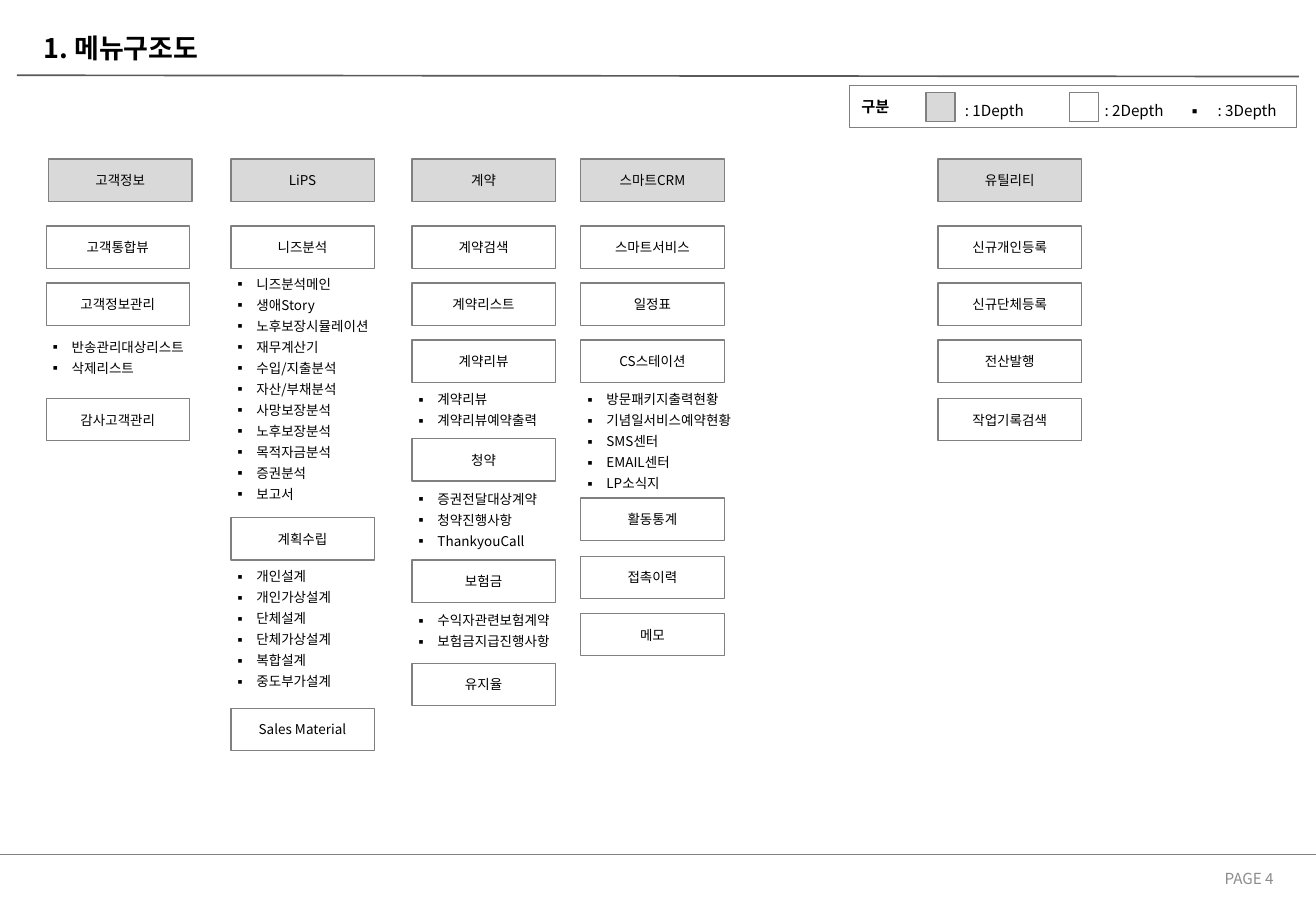
import pptx
import pptx.util
import pptx.dml.color
import pptx.enum.shapes
import pptx.enum.text
import pptx.oxml.ns
import lxml.etree

ALIGN = pptx.enum.text.PP_ALIGN
ANCHOR = pptx.enum.text.MSO_ANCHOR
AUTO_SIZE = pptx.enum.text.MSO_AUTO_SIZE

BOX_WIDTH, BOX_HEIGHT = 118, 35
HEADER_TOP = 131
ROWS = [186, 233, 280, 328]

COLUMNS = [
    ("고객정보", 40, 38, 134, [
        (ROWS[0], "고객통합뷰", 0, []),
        (ROWS[1], "고객정보관리", 273, ["반송관리대상리스트", "삭제리스트"]),
        (ROWS[3], "감사고객관리", 0, []),
    ]),
    ("LiPS", 190, 190, 134, [
        (ROWS[0], "니즈분석", 221, [
            "니즈분석메인", "생애Story", "노후보장시뮬레이션", "재무계산기",
            "수입/지출분석", "자산/부채분석", "사망보장분석", "노후보장분석",
            "목적자금분석", "증권분석", "보고서"]),
        (426, "계획수립", 462, [
            "개인설계", "개인가상설계", "단체설계", "단체가상설계",
            "복합설계", "중도부가설계"]),
        (583, "Sales Material", 0, []),
    ]),
    ("계약", 339, 339, 134, [
        (ROWS[0], "계약검색", 0, []),
        (ROWS[1], "계약리스트", 0, []),
        (ROWS[2], "계약리뷰", 316, ["계약리뷰", "계약리뷰예약출력"]),
        (361, "청약", 398, ["증권전달대상계약", "청약진행사항", "ThankyouCall"]),
        (461, "보험금", 498, ["수익자관련보험계약", "보험금지급진행사항"]),
        (546, "유지율", 0, []),
    ]),
    ("스마트CRM", 478, 478, 151, [
        (ROWS[0], "스마트서비스", 0, []),
        (ROWS[1], "일정표", 0, []),
        (ROWS[2], "CS스테이션", 316, [
            "방문패키지출력현황", "기념일서비스예약현황", "SMS센터",
            "EMAIL센터", "LP소식지"]),
        (410, "활동통계", 0, []),
        (458, "접촉이력", 0, []),
        (505, "메모", 0, []),
    ]),
    ("유틸리티", 772, 772, 134, [
        (top, label, 0, []) for top, label in
        zip(ROWS, ["신규개인등록", "신규단체등록", "전산발행", "작업기록검색"])
    ]),
]


def px(length):
    return pptx.util.Emu(length * 9144)


def color(value):
    return pptx.dml.color.RGBColor.from_string(value)


def set_values(target, values):
    for name, value in values.items():
        setattr(target, name, value)


class Page:
    """Hold the shared style and draw each kind of element on one slide."""

    font = "Noto Sans CJK KR"
    black, gray, shade, white = "000000", "808080", "D9D9D9", "FFFFFF"

    def __init__(self, deck):
        self.slide = deck.slides.add_slide(deck.slide_layouts[5])
        self.shapes = self.slide.shapes

    def add_text(self, para, text, size, tint=black, bold=False):
        span = para.add_run()
        span.text = text
        set_values(span.font, {"size": pptx.util.Pt(size), "bold": bold, "name": self.font})
        span.font.color.rgb = color(tint)
        east_asian = lxml.etree.SubElement(span.font._element, pptx.oxml.ns.qn("a:ea"))
        east_asian.set("typeface", self.font)

    def bullet(self, para, indent):
        properties = para._p.get_or_add_pPr()
        properties.set("marL", str(px(indent)))
        properties.set("indent", str(-px(indent)))
        for tag, name, value in [("a:buFont", "typeface", self.font), ("a:buChar", "char", "▪")]:
            lxml.etree.SubElement(properties, pptx.oxml.ns.qn(tag)).set(name, value)

    def title(self, text, left, top, width, height):
        box = self.slide.shapes.title
        set_values(box, {"left": px(left), "top": px(top), "width": px(width), "height": px(height)})
        set_values(box.text_frame, {"vertical_anchor": ANCHOR.MIDDLE, "auto_size": AUTO_SIZE.NONE})
        para = box.text_frame.paragraphs[0]
        para.alignment = ALIGN.LEFT
        self.add_text(para, text, 16, bold=True)

    def line(self, start, end, tint, weight):
        rule = self.shapes.add_connector(
            pptx.enum.shapes.MSO_CONNECTOR.STRAIGHT, *map(px, start + end))
        rule.line.color.rgb = color(tint)
        rule.line.width = pptx.util.Pt(weight)
        lxml.etree.SubElement(rule._element.spPr, pptx.oxml.ns.qn("a:effectLst"))

    def box(self, left, top, width, height, fill, text="", size=8, weight=0.75,
            align=ALIGN.CENTER, bold=False):
        shape = self.shapes.add_shape(
            pptx.enum.shapes.MSO_SHAPE.RECTANGLE, *map(px, (left, top, width, height)))
        shape.shadow.inherit = False
        shape.fill.solid()
        shape.fill.fore_color.rgb = color(fill)
        shape.line.color.rgb = color(self.gray)
        shape.line.width = pptx.util.Pt(weight)
        if text:
            set_values(shape.text_frame, {"word_wrap": False, "vertical_anchor": ANCHOR.MIDDLE})
            para = shape.text_frame.paragraphs[0]
            para.alignment = align
            self.add_text(para, text, size, bold=bold)

    def labels(self, left, top, width, height, texts, size=8, indent=0, wrap=True):
        box = self.shapes.add_textbox(*map(px, (left, top, width, height)))
        frame = box.text_frame
        sides = ("left", "top", "right", "bottom")
        set_values(frame, {f"margin_{side}": px(2) for side in sides})
        set_values(frame, {"word_wrap": wrap, "auto_size": AUTO_SIZE.SHAPE_TO_FIT_TEXT})
        for index, text in enumerate(texts):
            para = frame.add_paragraph() if index else frame.paragraphs[0]
            para.line_spacing = 1.3
            if indent:
                self.bullet(para, indent)
            self.add_text(para, text, size)

    def footer(self, text, left, top, width, height):
        box = self.shapes.add_textbox(*map(px, (left, top, width, height)))
        set_values(box.text_frame, {"word_wrap": True, "vertical_anchor": ANCHOR.MIDDLE})
        para = box.text_frame.paragraphs[0]
        para.alignment = ALIGN.RIGHT
        self.add_text(para, text, 9, tint="8C8C8C")

    def legend(self):
        self.shapes = self.slide.shapes.add_group_shape().shapes
        self.box(699, 70, 368, 35, self.white, "구분", 9, 0.25, ALIGN.LEFT, True)
        self.box(762, 76, 24, 24, self.shade)
        self.box(880, 76, 24, 24, self.white)
        for left, width, indent, text in [
                (792, 53, 0, ": 1Depth"), (907, 53, 0, ": 2Depth"), (975, 79, 25, ": 3Depth")]:
            self.labels(left, 77, width, 21, [text], 9, indent, wrap=False)
        self.shapes = self.slide.shapes

    def column(self, header, header_left, left, list_width, entries):
        self.box(header_left, HEADER_TOP, BOX_WIDTH, BOX_HEIGHT, self.shade, header)
        for top, label, list_top, children in entries:
            self.box(left, top, BOX_WIDTH, BOX_HEIGHT, self.white, label)
            if children:
                height = round(17.5 * len(children)) + 4
                self.labels(left, list_top, list_width, height, children, indent=19)


def main():
    deck = pptx.Presentation()
    set_values(deck, {"slide_width": px(1083), "slide_height": px(750)})
    page = Page(deck)
    page.line((0, 703), (1083, 703), page.gray, 0.25)
    page.line((14, 62), (1069, 63), "595959", 1)
    page.title("1. 메뉴구조도", 26, 23, 820, 32)
    page.footer("PAGE 4", 805, 711, 253, 24)
    page.legend()
    for column in COLUMNS:
        page.column(*column)
    deck.save("out.pptx")


if __name__ == "__main__":
    main()
